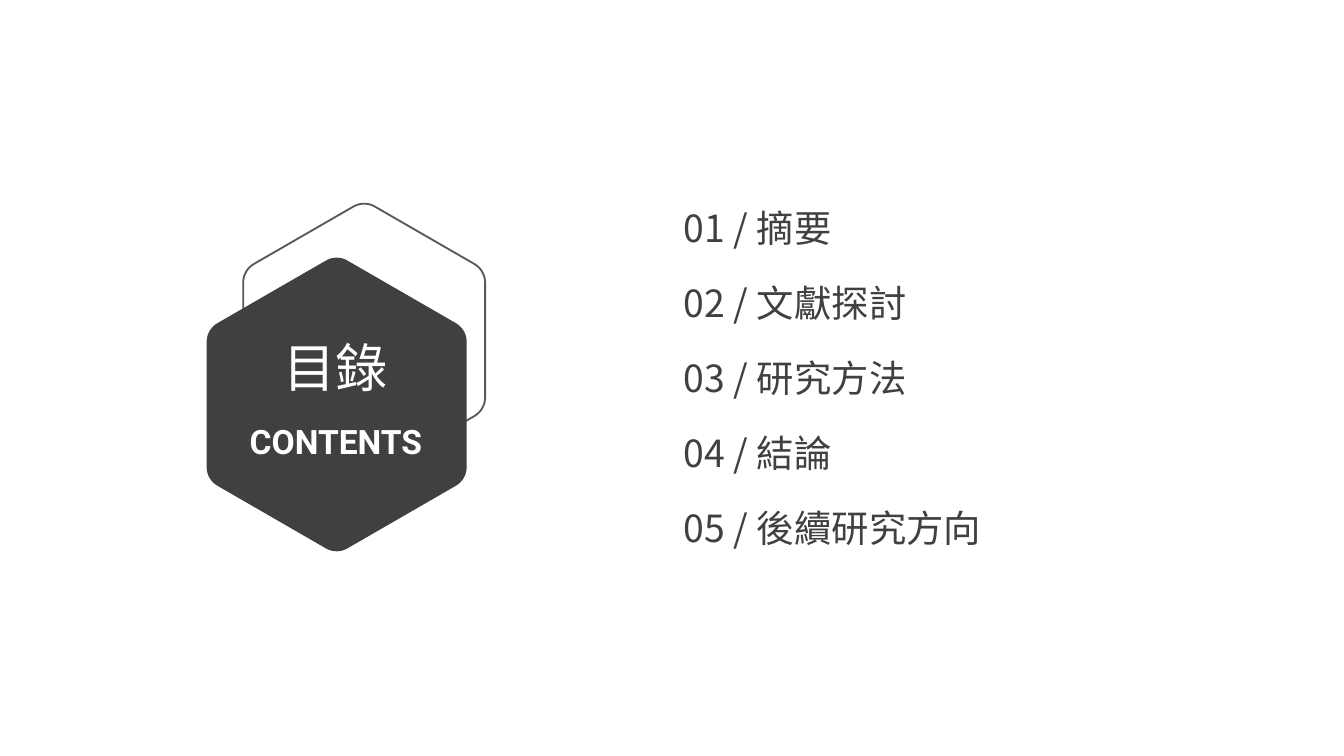
import math
from dataclasses import dataclass

import pptx
import pptx.dml.color
import pptx.enum.text
import pptx.oxml
import pptx.oxml.ns
import pptx.util
from pptx.util import Pt


@dataclass(frozen=True)
class Theme:
    dark: str = "404040"
    outline: str = "595959"
    light: str = "FFFFFF"
    chinese_font: str = "Noto Sans CJK JP"
    latin_font: str = "Roboto"
    heading_size: int = 28
    subheading_size: int = 18
    item_size: int = 20


THEME = Theme()
CHAPTERS = ["摘要", "文獻探討", "研究方法", "結論", "後續研究方向"]
CHAPTERS_LEFT, CHAPTERS_TOP = 361, 107.3
CHAPTER_WIDTH, CHAPTER_HEIGHT, CHAPTER_PITCH = 235, 29.5, 40.1
CORNER_RADIUS = 11.5
CORNER_STEPS = 10


def rgb(color):
    return pptx.dml.color.RGBColor.from_string(color)


def rounded_hexagon_points(center_x, center_y, width):
    """Outline of an upright hexagon whose corners are circular arcs of 60 degrees."""
    arc_distance = (width / 2 - CORNER_RADIUS) / math.cos(math.pi / 6)
    points = []
    for corner in range(6):
        direction = math.radians(60 * corner - 90)
        for step in range(CORNER_STEPS + 1):
            angle = direction + math.radians(60 * step / CORNER_STEPS - 30)
            x = center_x + arc_distance * math.cos(direction) + CORNER_RADIUS * math.cos(angle)
            y = center_y + arc_distance * math.sin(direction) + CORNER_RADIUS * math.sin(angle)
            points.append((Pt(x), Pt(y)))
    return points


def add_hexagon(shapes, center_x, center_y, width, fill=None, line=None):
    start, *rest = rounded_hexagon_points(center_x, center_y, width)
    builder = shapes.build_freeform(*start)
    builder.add_line_segments(rest, close=True)
    hexagon = builder.convert_to_shape()
    hexagon.shadow.inherit = False
    if fill:
        hexagon.fill.solid()
        hexagon.fill.fore_color.rgb = rgb(fill)
    else:
        hexagon.fill.background()
    if line:
        hexagon.line.color.rgb = rgb(line)
        hexagon.line.width = Pt(1)
    else:
        hexagon.line.fill.background()


def set_frame(frame):
    frame.word_wrap = True
    frame.auto_size = pptx.enum.text.MSO_AUTO_SIZE.SHAPE_TO_FIT_TEXT
    frame.vertical_anchor = pptx.enum.text.MSO_ANCHOR.TOP
    frame.margin_left = frame.margin_right = Pt(5.4)
    frame.margin_top = frame.margin_bottom = Pt(2.7)


def add_run(paragraph, text, size, color, font_name, bold=False):
    run = paragraph.add_run()
    run.text = text
    run.font.size = Pt(size)
    run.font.bold = bold
    run.font.color.rgb = rgb(color)
    run.font.name = font_name
    east_asian = pptx.oxml.parse_xml(
        f'<a:ea {pptx.oxml.ns.nsdecls("a")} typeface="{font_name}"/>')
    run.font._element.find(pptx.oxml.ns.qn("a:latin")).addnext(east_asian)


def add_emblem(slide):
    emblem = slide.shapes.add_group_shape()
    add_hexagon(emblem.shapes, 195.1, 182.2, 129.6, line=THEME.outline)
    add_hexagon(emblem.shapes, 180.4, 216.7, 139.3, fill=THEME.dark)


def set_title(slide):
    """Fill the title placeholder and bring it in front of the emblem."""
    title = slide.shapes.title
    title.left, title.top, title.width, title.height = Pt(114.5), Pt(177.1), Pt(131), Pt(73.4)
    slide.shapes._spTree.append(title._element)
    frame = title.text_frame
    set_frame(frame)
    heading, subheading = frame.paragraphs[0], frame.add_paragraph()
    heading.space_after = Pt(12)
    for paragraph in (heading, subheading):
        paragraph.alignment = pptx.enum.text.PP_ALIGN.CENTER
    add_run(heading, "目錄", THEME.heading_size, THEME.light, THEME.chinese_font)
    add_run(subheading, "CONTENTS", THEME.subheading_size, THEME.light,
            THEME.latin_font, bold=True)


def add_chapter(slide, number, chapter):
    top = CHAPTERS_TOP + (number - 1) * CHAPTER_PITCH
    entry = slide.shapes.add_textbox(
        Pt(CHAPTERS_LEFT), Pt(top), Pt(CHAPTER_WIDTH), Pt(CHAPTER_HEIGHT))
    set_frame(entry.text_frame)
    add_run(entry.text_frame.paragraphs[0], f"{number:02d} / {chapter}",
            THEME.item_size, THEME.dark, THEME.chinese_font)


def main():
    presentation = pptx.Presentation()
    presentation.slide_width, presentation.slide_height = Pt(720), Pt(405)
    slide = presentation.slides.add_slide(presentation.slide_layouts.get_by_name("Title Only"))
    add_emblem(slide)
    set_title(slide)
    for number, chapter in enumerate(CHAPTERS, start=1):
        add_chapter(slide, number, chapter)
    presentation.save("out.pptx")


if __name__ == "__main__":
    main()
